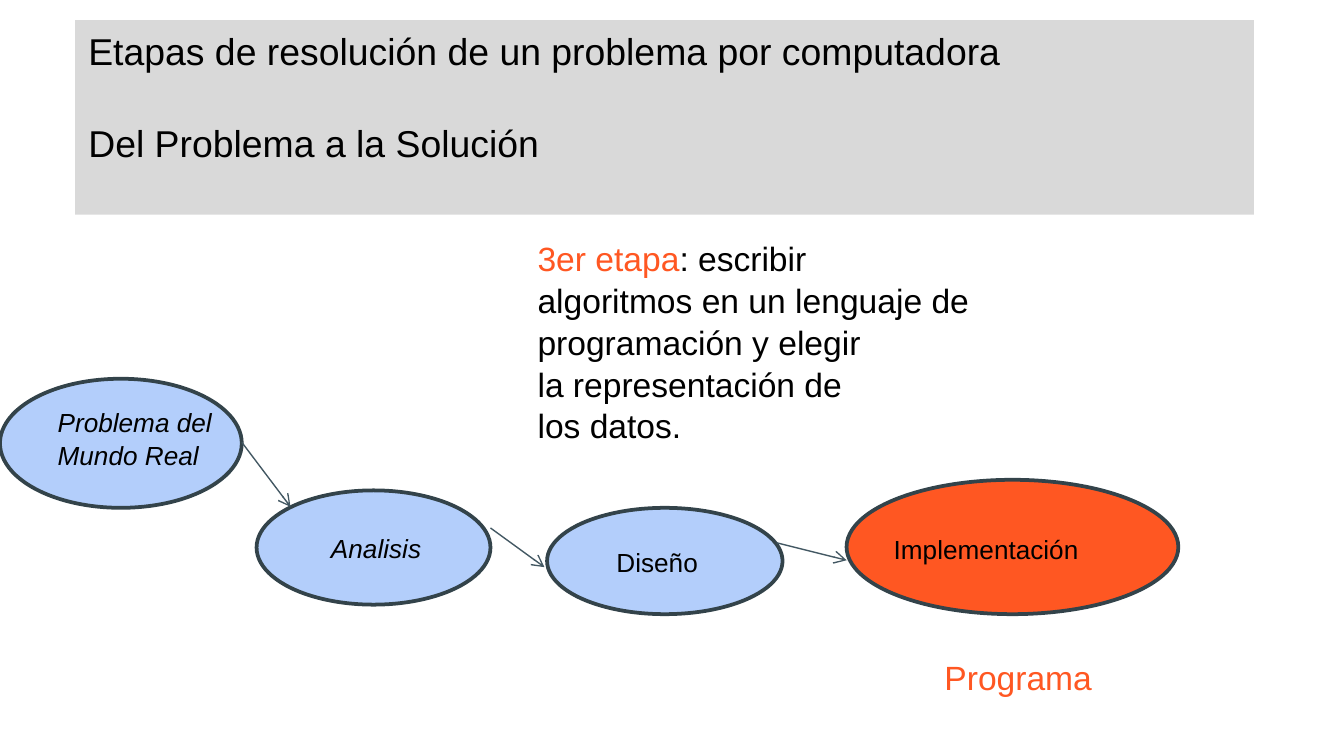
import dataclasses
import typing

import lxml.etree
import pptx
import pptx.dml.color
import pptx.enum.shapes
import pptx.enum.text
import pptx.oxml.ns
import pptx.util

Cm = pptx.util.Cm
Pt = pptx.util.Pt
Shapes = pptx.enum.shapes.MSO_SHAPE
Align = pptx.enum.text.PP_ALIGN
Anchor = pptx.enum.text.MSO_ANCHOR

BLACK = "000000"
BLUE = "B3CEFB"
ORANGE = "FF5722"
GREY = "D9D9D9"
OUTLINE = "33434A"
ARROW = "435863"


@dataclasses.dataclass
class Frame:
    left: float
    top: float
    width: float
    height: float

    def lengths(self) -> list:
        return [Cm(value) for value in dataclasses.astuple(self)]


@dataclasses.dataclass
class Stage:
    frame: Frame
    fill: str = BLUE
    label: str = ""
    italic: bool = False
    align: typing.Any = Align.LEFT
    margin_left: float = 0.25


@dataclasses.dataclass
class Arrow:
    start_x: float
    start_y: float
    end_x: float
    end_y: float


@dataclasses.dataclass
class Label:
    frame: Frame
    text: str
    size: int = 14
    color: str = BLACK
    italic: bool = False


STAGES = [
    Stage(Frame(0, 7.16, 4.57, 2.44)),
    Stage(Frame(4.85, 9.27, 4.42, 2.16), label="Analisis", italic=True,
          align=Align.CENTER, margin_left=0.35),
    Stage(Frame(10.34, 9.6, 4.45, 2.01), label="Diseño", margin_left=0.66),
    Stage(Frame(16, 9.07, 6.27, 2.54), fill=ORANGE),
]

ARROWS = [
    Arrow(4.57, 8.36, 5.49, 9.58),
    Arrow(9.27, 9.98, 10.29, 10.72),
    Arrow(14.68, 10.26, 16, 10.59),
]

LABELS = [
    Label(Frame(0.84, 7.54, 3.99, 2.06), "Problema del Mundo Real", italic=True),
    Label(Frame(16.64, 9.93, 5.28, 0.84), "Implementación"),
    Label(Frame(17.6, 12.27, 5.66, 1.02), "Programa", size=18, color=ORANGE),
]

TITLE_LINES = [
    "Etapas de resolución de un problema por computadora",
    "Del Problema a la Solución",
]

STAGE_LINES = [
    ": escribir",
    "algoritmos en un lenguaje de",
    "programación y elegir",
    "la representación de",
    "los datos.",
]


def rgb(code: str) -> pptx.dml.color.RGBColor:
    return pptx.dml.color.RGBColor.from_string(code)


def add_text(para, text: str, *, size: int = 14, color: str = BLACK,
             italic: bool = False) -> None:
    para.line_spacing = 1.04
    span = para.add_run()
    span.text = text
    span.font.name = "Arial"
    span.font.size = Pt(size)
    span.font.italic = italic
    span.font.color.rgb = rgb(color)


def add_box(page, frame: Frame):
    box = page.shapes.add_textbox(*frame.lengths())
    box.text_frame.word_wrap = True
    return box.text_frame.paragraphs[0]


def draw_shape(page, kind, frame: Frame, fill: str):
    shape = page.shapes.add_shape(kind, *frame.lengths())
    shape.shadow.inherit = False
    shape.fill.solid()
    shape.fill.fore_color.rgb = rgb(fill)
    shape.text_frame.word_wrap = True
    return shape


def draw_title(page) -> None:
    banner = draw_shape(page, Shapes.RECTANGLE, Frame(1.42, 0.38, 22.28, 3.68), GREY)
    banner.line.fill.background()
    frame = banner.text_frame
    frame.vertical_anchor = Anchor.TOP
    for index, line in enumerate(TITLE_LINES):
        para = frame.add_paragraph() if index else frame.paragraphs[0]
        para.alignment = Align.LEFT
        if index:
            para.space_before = Pt(24)
        add_text(para, line, size=20)


def draw_stage(page, stage: Stage) -> None:
    ellipse = draw_shape(page, Shapes.OVAL, stage.frame, stage.fill)
    ellipse.line.color.rgb = rgb(OUTLINE)
    ellipse.line.width = Pt(2)
    if stage.label:
        frame = ellipse.text_frame
        frame.vertical_anchor = Anchor.MIDDLE
        frame.margin_left = Cm(stage.margin_left)
        para = frame.paragraphs[0]
        para.alignment = stage.align
        add_text(para, stage.label, italic=stage.italic)


def draw_arrow(page, arrow: Arrow) -> None:
    ends = [Cm(value) for value in dataclasses.astuple(arrow)]
    line = page.shapes.add_connector(pptx.enum.shapes.MSO_CONNECTOR.STRAIGHT, *ends)
    line.line.color.rgb = rgb(ARROW)
    line.line.width = Pt(0.75)
    qn = pptx.oxml.ns.qn
    properties = line.line._get_or_add_ln()
    lxml.etree.SubElement(properties, qn("a:tailEnd"), type="arrow")
    lxml.etree.SubElement(line._element.spPr, qn("a:effectLst"))


def draw_label(page, label: Label) -> None:
    add_text(add_box(page, label.frame), label.text, size=label.size,
             color=label.color, italic=label.italic)


def draw_explanation(page) -> None:
    para = add_box(page, Frame(9.91, 4.34, 9.14, 4.7))
    add_text(para, "3er etapa", size=18, color=ORANGE)
    for index, line in enumerate(STAGE_LINES):
        if index:
            para.add_line_break()
        add_text(para, line, size=18)


def main() -> None:
    deck = pptx.Presentation()
    deck.slide_width = Cm(25.4)
    deck.slide_height = Cm(14.29)
    page = deck.slides.add_slide(deck.slide_layouts[6])
    draw_title(page)
    for stage in STAGES:
        draw_stage(page, stage)
    for arrow in ARROWS:
        draw_arrow(page, arrow)
    for label in LABELS:
        draw_label(page, label)
    draw_explanation(page)
    deck.save("out.pptx")


if __name__ == "__main__":
    main()
